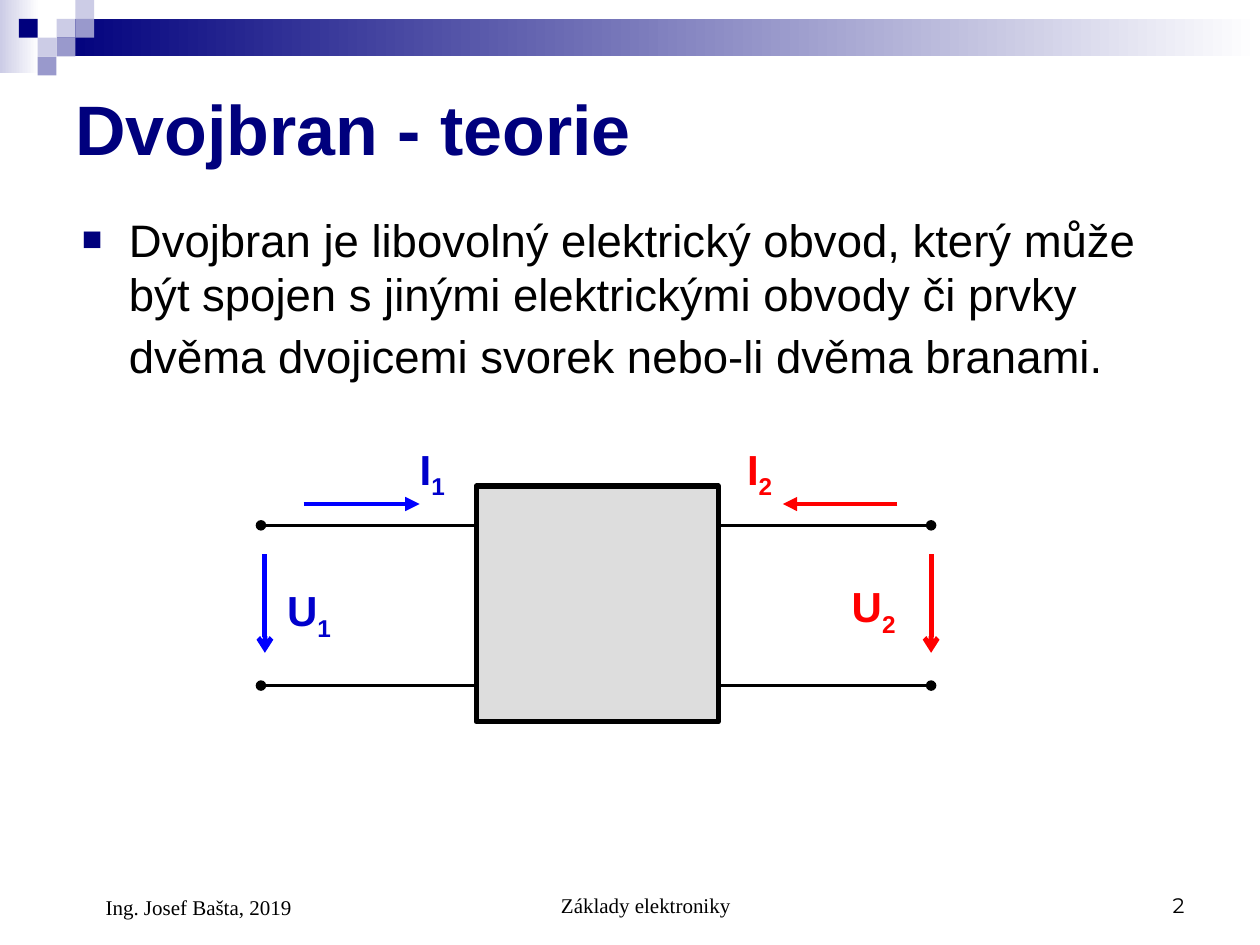
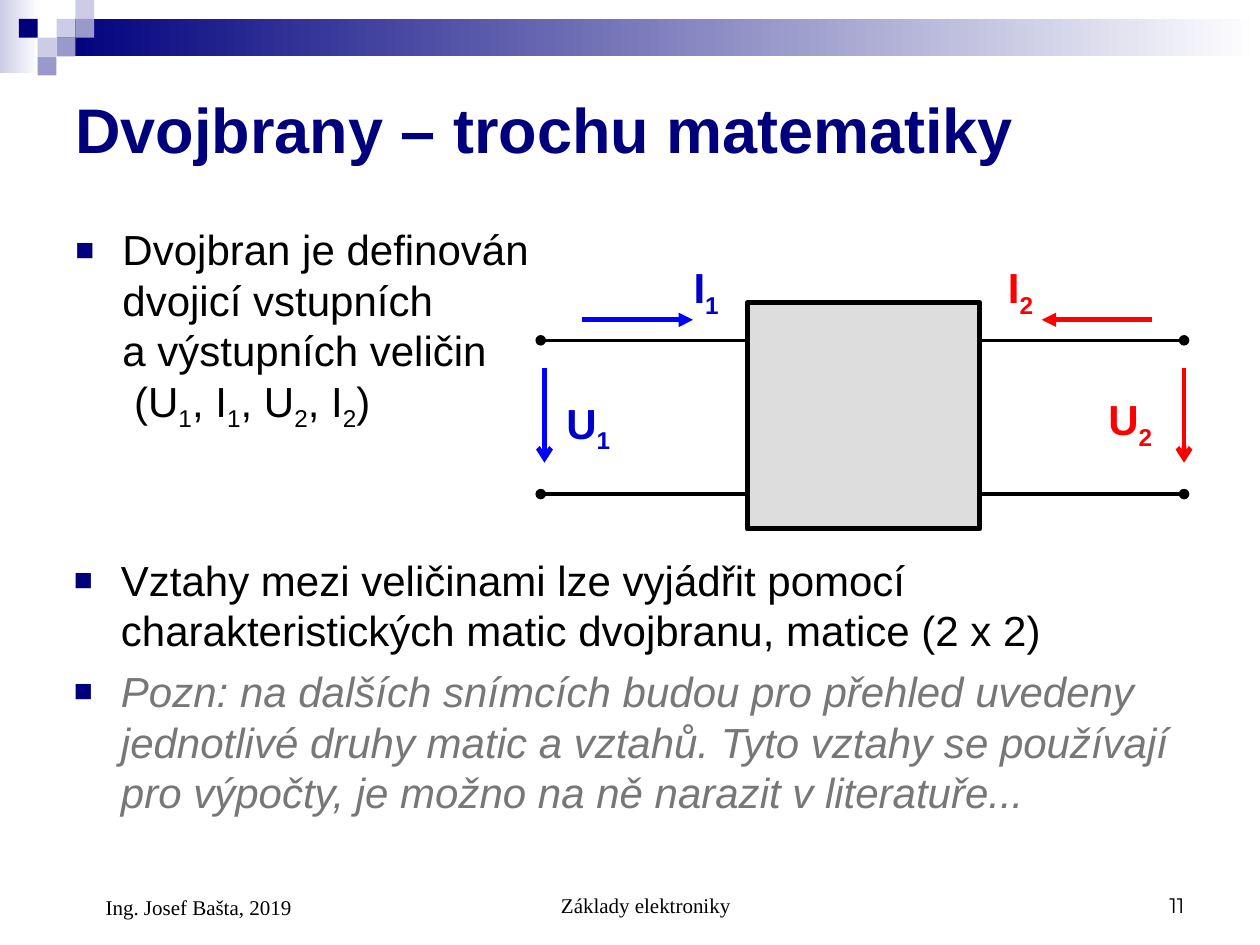
from lxml import etree
from pptx import Presentation
from pptx import util as u
from pptx.dml.color import RGBColor
from pptx.enum import shapes, text
from pptx.oxml import ns

NAVY = RGBColor(0x00, 0x00, 0x7D)
LILAC = RGBColor(0x99, 0x99, 0xCC)
PALE = RGBColor(0xCC, 0xCC, 0xE6)
WHITE = RGBColor(0xFF, 0xFF, 0xFF)
BLACK = RGBColor(0x00, 0x00, 0x00)
SILVER = RGBColor(0xDD, 0xDD, 0xDD)
GREY = RGBColor(0x77, 0x77, 0x77)
BLUE = RGBColor(0x00, 0x00, 0xFF)
DEEP_BLUE = RGBColor(0x00, 0x00, 0xCC)
RED = RGBColor(0xFF, 0x00, 0x00)

TILE = 0.38
TILES = [(3, 1, PALE), (4, 0, PALE), (4, 1, LILAC), (2, 2, PALE),
         (1, 1, NAVY), (3, 2, LILAC), (2, 3, LILAC)]
LEFT, CENTER, RIGHT = text.PP_ALIGN.LEFT, text.PP_ALIGN.CENTER, text.PP_ALIGN.RIGHT
TOP, MIDDLE, BOTTOM = text.MSO_ANCHOR.TOP, text.MSO_ANCHOR.MIDDLE, text.MSO_ANCHOR.BOTTOM


def write(s, at, paragraphs, font="Arial", anchor=TOP, align=LEFT, indent=0, bullet=False):
    """Each run is (text, size, colour, style); text between bars is subscript."""
    tf = s.shapes.add_textbox(*[u.Cm(v) for v in at]).text_frame
    tf.word_wrap = True
    tf.vertical_anchor = anchor
    for i, runs in enumerate(paragraphs):
        p = tf.add_paragraph() if i else tf.paragraphs[0]
        p.alignment = align
        pPr = p._p.get_or_add_pPr()
        if indent:
            pPr.set("marL", str(u.Cm(indent)))
        if bullet:
            pPr.set("indent", str(-u.Cm(indent)))
            clr = etree.SubElement(pPr, ns.qn("a:buClr"))
            etree.SubElement(clr, ns.qn("a:srgbClr"), val=str(NAVY))
            etree.SubElement(pPr, ns.qn("a:buSzPct"), val="75000")
            etree.SubElement(pPr, ns.qn("a:buFont"), typeface="Arial")
            etree.SubElement(pPr, ns.qn("a:buChar"), char="■")
        if i:
            p.space_before = u.Pt(6)
        for words, size, colour, style in runs:
            for j, piece in enumerate(words.split("|")):
                for k, line in enumerate(piece.split("\n")):
                    if k:
                        p.add_line_break()
                    if not line:
                        continue
                    r = p.add_run()
                    r.text = line
                    r.font.name = font
                    r.font.size = u.Pt(size)
                    r.font.color.rgb = colour
                    r.font.bold = style == "b"
                    r.font.italic = style == "i"
                    if j % 2:
                        r.font._element.set("baseline", "-25000")


def draw_line(s, x1, y1, x2, y2, colour, width, head):
    c = s.shapes.add_connector(shapes.MSO_CONNECTOR.STRAIGHT,
                               u.Cm(x1), u.Cm(y1), u.Cm(x2), u.Cm(y2))
    c.line.color.rgb = colour
    c.line.width = u.Pt(width)
    etree.SubElement(c.line._get_or_add_ln(), ns.qn("a:tailEnd"), type=head)
    etree.SubElement(c._element.spPr, ns.qn("a:effectLst"))


SLIDES = [
    dict(number="2", title="Dvojbran - teorie", title_size=40, origin=(5.26, 10.59), scale=1,
         bodies=[((1.4, 4.14, 22.86, 5.36), [[
             ("Dvojbran je libovolný elektrický obvod, který může být spojen s jinými "
              "elektrickými obvody či prvky dvěma dvojicemi svorek nebo-li dvěma branami.",
              26, BLACK, ""), (" ", 30, BLACK, "")]])]),
    dict(number="11", title="Dvojbrany – trochu matematiky", title_size=36,
         origin=(10.9, 6.86), scale=0.96,
         bodies=[((1.27, 4.39, 10.16, 6.1), [[
             ("Dvojbran je definován dvojicí vstupních \na výstupních veličin\n"
              " (U|1|, I|1|, U|2|, I|2|)", 24, BLACK, "")]]),
             ((1.24, 11.05, 22.86, 5.97), [
                 [("Vztahy mezi veličinami lze vyjádřit pomocí charakteristických matic "
                   "dvojbranu, matice (2 x 2)", 24, BLACK, "")],
                 [("Pozn: na dalších snímcích budou pro přehled uvedeny jednotlivé druhy "
                   "matic a vztahů. Tyto vztahy se používají pro výpočty, je možno na ně "
                   "narazit v literatuře...", 24, GREY, "i")]])]),
]

WIRES = [(0, 4.29), (13.51, 9.22)]
ARROWS = [
    (0.08, 0.58, 0.08, 2.57, BLUE, "arrow"),
    (13.51, 0.58, 13.51, 2.57, RED, "arrow"),
    (0.86, -0.43, 3.2, -0.43, BLUE, "triangle"),
    (12.83, -0.43, 10.52, -0.43, RED, "triangle"),
]
LABELS = [("U|1|", 0.28, 1.07, DEEP_BLUE), ("U|2|", 11.66, 0.99, RED),
          ("I|1|", 2.95, -1.78, DEEP_BLUE), ("I|2|", 9.55, -1.78, RED)]

prs = Presentation()
prs.slide_width, prs.slide_height = u.Cm(25.4), u.Cm(19.05)

for page in SLIDES:
    s = prs.slides.add_slide(prs.slide_layouts[6])
    x0, y0 = page["origin"]
    k = page["scale"]

    rects = [(0, 0, 0.79, 1.47, PALE, "fade"), (1.14, 0.38, 24.26, 0.76, NAVY, "fade")]
    rects += [(col * TILE, row * TILE, TILE, TILE, colour, "plain")
              for col, row, colour in TILES]
    rects.append((x0 + 4.34 * k, y0 - 0.79 * k, 4.88 * k, 4.75 * k, SILVER, "outlined"))
    for x, y, w, h, colour, look in rects:
        sp = s.shapes.add_shape(shapes.MSO_SHAPE.RECTANGLE, u.Cm(x), u.Cm(y), u.Cm(w), u.Cm(h))
        sp.shadow.inherit = False
        if look == "fade":
            sp.fill.gradient()
            sp.fill.gradient_angle = 0
            for stop, stop_colour in zip(sp.fill.gradient_stops, (colour, WHITE)):
                stop.color.rgb = stop_colour
        else:
            sp.fill.solid()
            sp.fill.fore_color.rgb = colour
        if look == "outlined":
            sp.line.color.rgb = BLACK
            sp.line.width = u.Pt(3)
        else:
            sp.line.fill.background()

    write(s, (1.27, 1.27, 22.86, 2.62),
          [[(page["title"], page["title_size"], NAVY, "b")]], anchor=MIDDLE)
    for at, paragraphs in page["bodies"]:
        write(s, at, paragraphs, indent=0.95, bullet=True)

    for terminal, side in WIRES:
        for y in (0, 3.23):
            draw_line(s, x0 + side * k, y0 + y * k, x0 + terminal * k, y0 + y * k,
                      BLACK, 2, "oval")
    for x1, y1, x2, y2, colour, head in ARROWS:
        draw_line(s, x0 + x1 * k, y0 + y1 * k, x0 + x2 * k, y0 + y2 * k, colour, 2.75, head)
    for label, x, y, colour in LABELS:
        write(s, (x0 + x * k, y0 + y * k, 1.98, 1.42), [[(label, 24, colour, "b")]])

    for words, x, w, h, font, align, indent in [
            ("Základy elektroniky", 8.69, 8.05, 1.27, "Times New Roman", CENTER, 0.61),
            (page["number"], 18.21, 5.92, 1.27, "Montserrat", RIGHT, 0),
            ("Ing. Josef Bašta, 2019", 1.27, 5.92, 1.32, "Times New Roman", LEFT, 0.61)]:
        write(s, (x, 17.35, w, h), [[(words, 12, BLACK, "")]], font, BOTTOM, align, indent)

prs.save("out.pptx")
